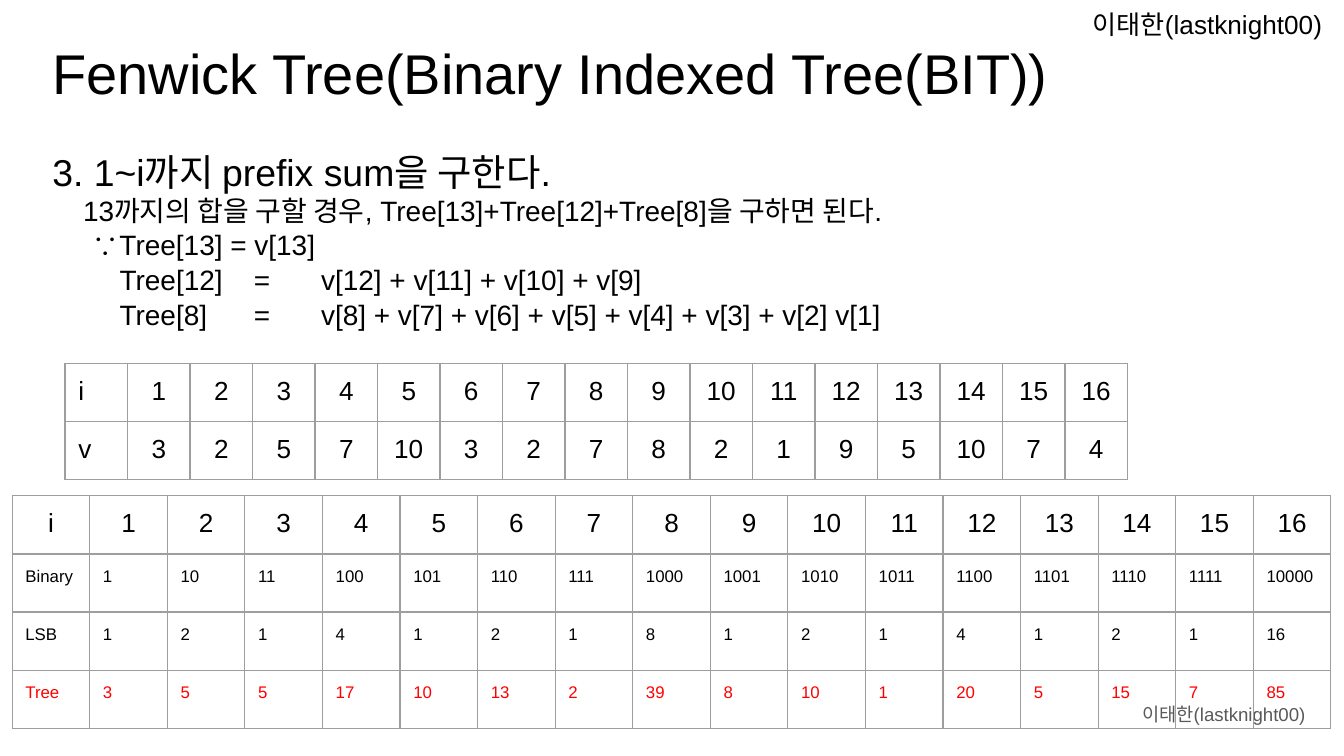
from lxml import etree
from pptx import Presentation
from pptx.dml.color import RGBColor
from pptx.enum.text import MSO_ANCHOR, PP_ALIGN
from pptx.oxml.ns import qn
from pptx.util import Cm, Pt

BLACK = RGBColor(0x00, 0x00, 0x00)
GRAY = RGBColor(0x59, 0x59, 0x59)
RED = RGBColor(0xFF, 0x00, 0x00)
BORDER = RGBColor(0x9E, 0x9E, 0x9E)

LEFT, CENTER = PP_ALIGN.LEFT, PP_ALIGN.CENTER
TOP, MIDDLE = MSO_ANCHOR.TOP, MSO_ANCHOR.MIDDLE

FONT = "Arial"
INSET = Cm(0.25)
AUTHOR = "이태한(lastknight00)"


def write(paragraph, text, size=14, color=BLACK, align=LEFT, before=0, indent=0, tabs=()):
    """Fill a paragraph; indent and tab stops are in centimetres."""
    paragraph.alignment = align
    paragraph.space_before = Pt(before)
    run = paragraph.add_run()
    run.text = text
    run.font.name = FONT
    run.font.size = Pt(size)
    run.font.color.rgb = color
    properties = paragraph._p.get_or_add_pPr()
    properties.set("marL", str(Cm(indent)))
    properties.set("indent", "0")
    if tabs:
        stops = etree.SubElement(properties, qn("a:tabLst"))
        for stop in tabs:
            etree.SubElement(stops, qn("a:tab"), pos=str(Cm(stop)), algn="l")


class SlideBuilder:
    def __init__(self, slide):
        self.slide = slide

    def text(self, left, top, width, height, lines, anchor=TOP):
        """Add a text box from (text, format) pairs."""
        box = self.slide.shapes.add_textbox(Cm(left), Cm(top), Cm(width), Cm(height))
        frame = box.text_frame
        frame.word_wrap = True
        frame.vertical_anchor = anchor
        frame.margin_left = frame.margin_right = INSET
        frame.margin_top = frame.margin_bottom = INSET
        for number, (text, style) in enumerate(lines):
            paragraph = frame.add_paragraph() if number else frame.paragraphs[0]
            write(paragraph, text, **style)

    def table(self, left, top, width, row_height, rows, styles):
        """Add a grid of equal cells; styles holds (label, value) formats per row."""
        count = len(rows[0])
        table = self.slide.shapes.add_table(
            len(rows), count, Cm(left), Cm(top), Cm(width), Cm(row_height * len(rows))
        ).table
        table.first_row = table.horz_banding = False
        for column in table.columns:
            column.width = Cm(width / count)
        for r, (values, (label_style, value_style)) in enumerate(zip(rows, styles)):
            table.rows[r].height = Cm(row_height)
            for c, value in enumerate(values):
                cell = table.cell(r, c)
                self.frame_cell(cell)
                style = value_style if c else label_style
                write(cell.text_frame.paragraphs[0], str(value), **style)

    def frame_cell(self, cell):
        cell.margin_left = cell.margin_right = INSET
        cell.margin_top = cell.margin_bottom = INSET
        properties = cell._tc.get_or_add_tcPr()
        for side in ("lnL", "lnR", "lnT", "lnB"):
            line = etree.SubElement(properties, qn(f"a:{side}"), w=str(Pt(0.75)))
            fill = etree.SubElement(line, qn("a:solidFill"))
            etree.SubElement(fill, qn("a:srgbClr"), val=str(BORDER))
        cell.fill.background()


def main():
    presentation = Presentation()
    presentation.slide_width, presentation.slide_height = Cm(25.4), Cm(14.29)
    builder = SlideBuilder(presentation.slides.add_slide(presentation.slide_layouts[6]))

    # Author credits
    builder.text(21.34, 12.95, 3.75, 1.09, [(AUTHOR, dict(size=10, color=GRAY))], MIDDLE)
    builder.text(20.4, -0.1, 5.01, 0.89, [(AUTHOR, {})])

    # Title and explanation of the prefix sum
    builder.text(0.74, 0.48, 23.98, 2.79, [
        ("Fenwick Tree(Binary Indexed Tree(BIT))", dict(size=30)),
        ("3. 1~i까지 prefix sum을 구한다.", dict(size=20, before=23)),
        ("13까지의 합을 구할 경우, Tree[13]+Tree[12]+Tree[8]을 구하면 된다.",
         dict(size=15, indent=0.58)),
        ("∵Tree[13] = v[13]", dict(size=15, indent=0.74)),
        ("\tTree[12]\t=\tv[12] + v[11] + v[10] + v[9]",
         dict(size=15, before=1, tabs=(1.02, 3.12, 5.18))),
        ("\tTree[8]\t=\tv[8] + v[7] + v[6] + v[5] + v[4] + v[3] + v[2] v[1]",
         dict(size=15, before=1, tabs=(1.02, 3.12, 11.61))),
    ])

    # Each tree entry sums the last LSB(i) values up to i
    values = [3, 2, 5, 7, 10, 3, 2, 7, 8, 2, 1, 9, 5, 10, 7, 4]
    indices = range(1, len(values) + 1)
    lowest_bits = [i & -i for i in indices]
    sums = [sum(values[i - bit:i]) for i, bit in zip(indices, lowest_bits)]

    # Tree table
    centered, small, result = dict(align=CENTER), dict(size=9), dict(size=9, color=RED)
    builder.table(0.23, 9.37, 24.93, 1.1, [
        ["i", *indices],
        ["Binary", *(f"{i:b}" for i in indices)],
        ["LSB", *lowest_bits],
        ["Tree", *sums],
    ], [(centered, centered), (small, small), (small, small), (result, result)])

    # Value table
    builder.table(1.23, 6.87, 20.09, 1.07,
                  [["i", *indices], ["v", *values]], [({}, centered)] * 2)

    presentation.save("out.pptx")


if __name__ == "__main__":
    main()
